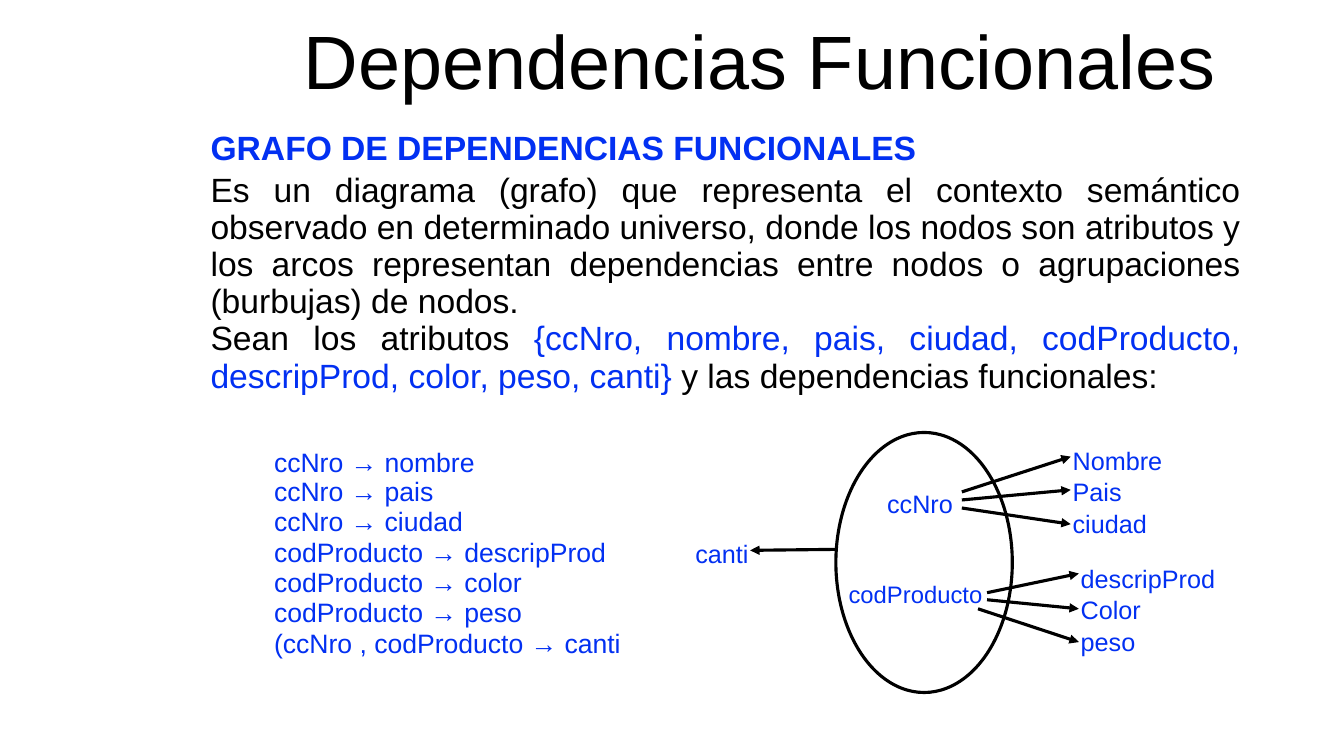
from dataclasses import dataclass

import pptx
import pptx.dml.color
import pptx.enum.shapes
import pptx.enum.text
import pptx.oxml.ns
import pptx.util
from lxml import etree
from pptx.util import Inches

ALIGN = pptx.enum.text.PP_ALIGN


@dataclass(frozen=True)
class Theme:
    font: str = "Arial"
    black: str = "000000"
    blue: str = "0230F2"
    title: int = 54
    body: int = 24
    rules: int = 19
    node: int = 18
    small_node: int = 17
    line: float = 2.25


THEME = Theme()


@dataclass(frozen=True)
class Label:
    lines: tuple[str, ...]
    left: float
    top: float
    width: float
    height: float
    size: int = THEME.node
    align: ALIGN = ALIGN.LEFT
    space_before: float = 0


@dataclass(frozen=True)
class Arrow:
    x1: float
    y1: float
    x2: float
    y2: float


RULES = (
    "ccNro → nombre",
    "ccNro → pais",
    "ccNro → ciudad",
    "codProducto → descripProd",
    "codProducto → color",
    "codProducto → peso",
    "(ccNro , codProducto → canti",
)

LABELS = (
    Label(RULES, 2.62, 4.37, 3.83, 2.2, THEME.rules),
    Label(("canti",), 6.7, 5.29, 0.92, 0.38, align=ALIGN.CENTER),
    Label(("ccNro",), 8.7, 4.79, 1.08, 0.38),
    Label(("codProducto",), 8.29, 5.7, 1.58, 0.37, THEME.small_node, ALIGN.CENTER),
    Label(("Nombre", "Pais", "ciudad"), 10.54, 4.37, 1.17, 1.01, space_before=2.2),
    Label(("descripProd", "Color", "peso"), 10.62, 5.54, 1.67, 1.01, space_before=2.2),
)

ARROWS = (
    Arrow(8.3, 5.45, 7.44, 5.46),
    Arrow(9.54, 4.88, 10.62, 4.53),
    Arrow(9.54, 4.96, 10.62, 4.86),
    Arrow(9.54, 5.04, 10.62, 5.2),
    Arrow(9.79, 5.88, 10.7, 5.69),
    Arrow(9.79, 5.95, 10.7, 6.04),
    Arrow(9.7, 6.04, 10.7, 6.37),
)

HEADING = "GRAFO DE DEPENDENCIAS FUNCIONALES"
DEFINITION = (
    "Es un diagrama (grafo) que representa el contexto semántico observado en "
    "determinado universo, donde los nodos son atributos y los arcos representan "
    "dependencias entre nodos o agrupaciones (burbujas) de nodos."
)
ATTRIBUTES = (
    ("Sean los atributos ", THEME.black),
    ("{ccNro, nombre, pais, ciudad, codProducto, descripProd, color, peso, canti} ", THEME.blue),
    ("y las dependencias funcionales:", THEME.black),
)


def rgb(color: str) -> pptx.dml.color.RGBColor:
    return pptx.dml.color.RGBColor.from_string(color)


def style(p, size: int, color: str, align: ALIGN, spacing: float = 1.0) -> None:
    p.alignment = align
    p.line_spacing = spacing
    p.font.name = THEME.font
    p.font.size = pptx.util.Pt(size)
    p.font.color.rgb = rgb(color)


def add_text_frame(s, left: float, top: float, width: float, height: float):
    tf = s.shapes.add_textbox(Inches(left), Inches(top), Inches(width), Inches(height)).text_frame
    tf.word_wrap = True
    return tf


def add_title(s) -> None:
    sp = s.shapes.title
    sp.left, sp.top, sp.width, sp.height = Inches(1.99), Inches(0), Inches(11.09), Inches(1.29)
    tf = sp.text_frame
    tf.text = "Dependencias Funcionales"
    tf.auto_size = pptx.enum.text.MSO_AUTO_SIZE.NONE
    tf.vertical_anchor = pptx.enum.text.MSO_ANCHOR.MIDDLE
    style(tf.paragraphs[0], THEME.title, THEME.black, ALIGN.CENTER, 0.9)


def add_body(s) -> None:
    tf = add_text_frame(s, 1.99, 1.29, 10.41, 2.82)
    p = tf.paragraphs[0]
    p.text = HEADING
    style(p, THEME.body, THEME.blue, ALIGN.LEFT, 0.8)
    p.font.bold = True
    p.space_after = pptx.util.Pt(4)
    p = tf.add_paragraph()
    p.text = DEFINITION
    style(p, THEME.body, THEME.black, ALIGN.JUSTIFY, 0.92)
    p = tf.add_paragraph()
    style(p, THEME.body, THEME.black, ALIGN.JUSTIFY, 0.92)
    for text, color in ATTRIBUTES:
        r = p.add_run()
        r.text = text
        r.font.color.rgb = rgb(color)


def add_label(s, label: Label) -> None:
    tf = add_text_frame(s, label.left, label.top, label.width, label.height)
    for i, line in enumerate(label.lines):
        p = tf.add_paragraph() if i else tf.paragraphs[0]
        p.text = line
        style(p, label.size, THEME.blue, label.align, 0.95 if i else 1.0)
        if i:
            p.space_before = pptx.util.Pt(label.space_before)


def format_line(line) -> None:
    line.color.rgb = rgb(THEME.black)
    line.width = pptx.util.Pt(THEME.line)


def add_bubble(s) -> None:
    sp = s.shapes.add_shape(
        pptx.enum.shapes.MSO_SHAPE.OVAL, Inches(8.29), Inches(4.29), Inches(1.75), Inches(2.58)
    )
    sp.shadow.inherit = False
    sp.fill.background()
    format_line(sp.line)


def add_arrow(s, arrow: Arrow) -> None:
    cxn = s.shapes.add_connector(
        pptx.enum.shapes.MSO_CONNECTOR.STRAIGHT,
        Inches(arrow.x1), Inches(arrow.y1), Inches(arrow.x2), Inches(arrow.y2),
    )
    format_line(cxn.line)
    qn = pptx.oxml.ns.qn
    sp_pr = cxn._element.spPr
    etree.SubElement(sp_pr.find(qn("a:ln")), qn("a:tailEnd"), type="triangle")
    etree.SubElement(sp_pr, qn("a:effectLst"))


def main() -> None:
    prs = pptx.Presentation()
    prs.slide_width, prs.slide_height = Inches(13.33), Inches(7.5)
    s = prs.slides.add_slide(prs.slide_layouts.get_by_name("Title Only"))
    add_title(s)
    add_body(s)
    add_bubble(s)
    for label in LABELS:
        add_label(s, label)
    for arrow in ARROWS:
        add_arrow(s, arrow)
    prs.save("out.pptx")


if __name__ == "__main__":
    main()
